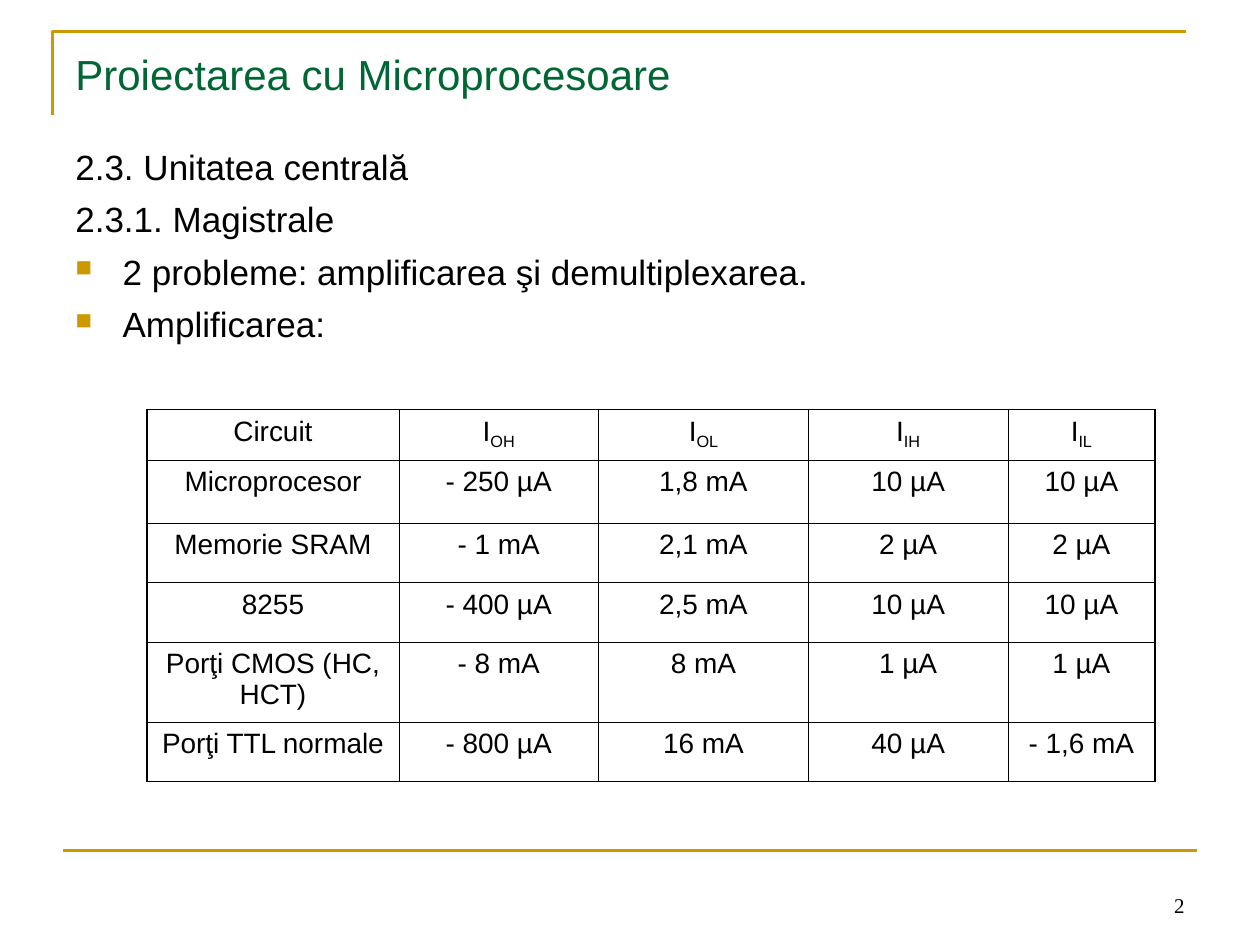
from pptx import Presentation
from pptx.dml.color import RGBColor
from pptx.enum.shapes import MSO_CONNECTOR
from pptx.enum.text import MSO_ANCHOR, PP_ALIGN
from pptx.oxml.ns import qn
from pptx.util import Pt
from lxml import etree

LINE = MSO_CONNECTOR.STRAIGHT
TOP, BASE = MSO_ANCHOR.TOP, MSO_ANCHOR.BOTTOM
LEFT, MID, RIGHT = PP_ALIGN.LEFT, PP_ALIGN.CENTER, PP_ALIGN.RIGHT

GOLD, GREEN, BLACK = "CC9900", "006633", "000000"
THIN, THICK = 0.45, 1.08

# Body lines: text, bulleted or not
BODY = [
    ("2.3. Unitatea centrală", False),
    ("2.3.1. Magistrale", False),
    ("2 probleme: amplificarea şi demultiplexarea.", True),
    ("Amplificarea:", True),
]

# Table data; "_" starts a subscript
ROWS = [
    ["Circuit", "I_OH", "I_OL", "I_IH", "I_IL"],
    ["Microprocesor", "- 250 µA", "1,8 mA", "10 µA", "10 µA"],
    ["Memorie SRAM", "- 1 mA", "2,1 mA", "2 µA", "2 µA"],
    ["8255", "- 400 µA", "2,5 mA", "10 µA", "10 µA"],
    ["Porţi CMOS (HC, HCT)", "- 8 mA", "8 mA", "1 µA", "1 µA"],
    ["Porţi TTL normale", "- 800 µA", "16 mA", "40 µA", "- 1,6 mA"],
]
WIDTHS = [144, 114, 120, 114, 84]
HEIGHTS = [28, 36, 34, 34, 45, 34]


def color(code):
    return RGBColor.from_string(code)


def child(parent, tag, **attrs):
    return etree.SubElement(parent, qn(tag), attrs)


def style(para, size, code=BLACK, name="Arial", align=LEFT):
    para.alignment = align
    font = para.font
    font.size, font.name = Pt(size), name
    font.color.rgb = color(code)


def add_box(slide, left, top, width, height, anchor=TOP, inset=3.6):
    box = slide.shapes.add_textbox(Pt(left), Pt(top), Pt(width), Pt(height))
    frame = box.text_frame
    frame.word_wrap = True
    frame.vertical_anchor = anchor
    frame.margin_top = Pt(inset)
    return frame


def add_frame(slide):
    # Corner rule around the title
    build = slide.shapes.build_freeform(Pt(30), Pt(66))
    build.add_line_segments([(Pt(30), Pt(18)), (Pt(678), Pt(18))], close=False)
    edge = build.convert_to_shape()
    edge.shadow.inherit = False
    edge.fill.background()
    # Rule above the footer
    rule = slide.shapes.add_connector(LINE, Pt(36), Pt(486), Pt(684), Pt(486))
    child(rule._element.spPr, "a:effectLst")
    for shape in (edge, rule):
        shape.line.color.rgb = color(GOLD)
        shape.line.width = Pt(1.5)


def add_mark(props):
    child(child(props, "a:buClr"), "a:srgbClr", val=GOLD)
    child(props, "a:buSzPct", val="65000")
    child(props, "a:buChar", char="■")


def add_body(slide):
    frame = add_box(slide, 36, 78, 468, 404, inset=5)
    for i, (text, marked) in enumerate(BODY):
        para = frame.add_paragraph() if i else frame.paragraphs[0]
        para.text = text
        if i:
            para.space_before = Pt(6)
        props = para._p.get_or_add_pPr()
        props.set("marL", str(Pt(27)))
        props.set("indent", str(-Pt(27)))
        if marked:
            add_mark(props)
        style(para, 20)


def add_edge(cell, side, width):
    edge = child(cell._tc.get_or_add_tcPr(), "a:" + side, w=str(Pt(width)))
    child(child(edge, "a:solidFill"), "a:srgbClr", val=BLACK)


def fill_cell(cell, text):
    para = cell.text_frame.paragraphs[0]
    main, _, sub = text.partition("_")
    para.add_run().text = main
    if sub:
        run = para.add_run()
        run.text = sub
        run.font._element.set("baseline", "-25000")
    style(para, 16, align=MID)


def add_grid(slide):
    count, span = len(ROWS), len(WIDTHS)
    shape = slide.shapes.add_table(
        count, span, Pt(84), Pt(234), Pt(sum(WIDTHS)), Pt(sum(HEIGHTS)))
    table = shape.table
    table.first_row = table.horz_banding = False
    for col, width in zip(table.columns, WIDTHS):
        col.width = Pt(width)
    for row, height in zip(table.rows, HEIGHTS):
        row.height = Pt(height)
    for r, row in enumerate(ROWS):
        for c, text in enumerate(row):
            cell = table.cell(r, c)
            fill_cell(cell, text)
            outer = {"lnL": c == 0, "lnR": c == span - 1,
                     "lnT": r == 0, "lnB": r == count - 1}
            for side, thick in outer.items():
                add_edge(cell, side, THICK if thick else THIN)
            cell.fill.background()


def main():
    deck = Presentation()
    deck.slide_width, deck.slide_height = Pt(720), Pt(540)
    slide = deck.slides.add_slide(deck.slide_layouts[6])

    add_frame(slide)

    # Page number
    para = add_box(slide, 516, 492, 168, 36, BASE).paragraphs[0]
    para.text = "2"
    style(para, 12, name="Times New Roman", align=RIGHT)

    # Title
    para = add_box(slide, 36, 21.6, 648, 56, inset=6).paragraphs[0]
    para.text = "Proiectarea cu Microprocesoare"
    style(para, 24, GREEN)

    add_body(slide)
    add_grid(slide)
    deck.save("out.pptx")


if __name__ == "__main__":
    main()
